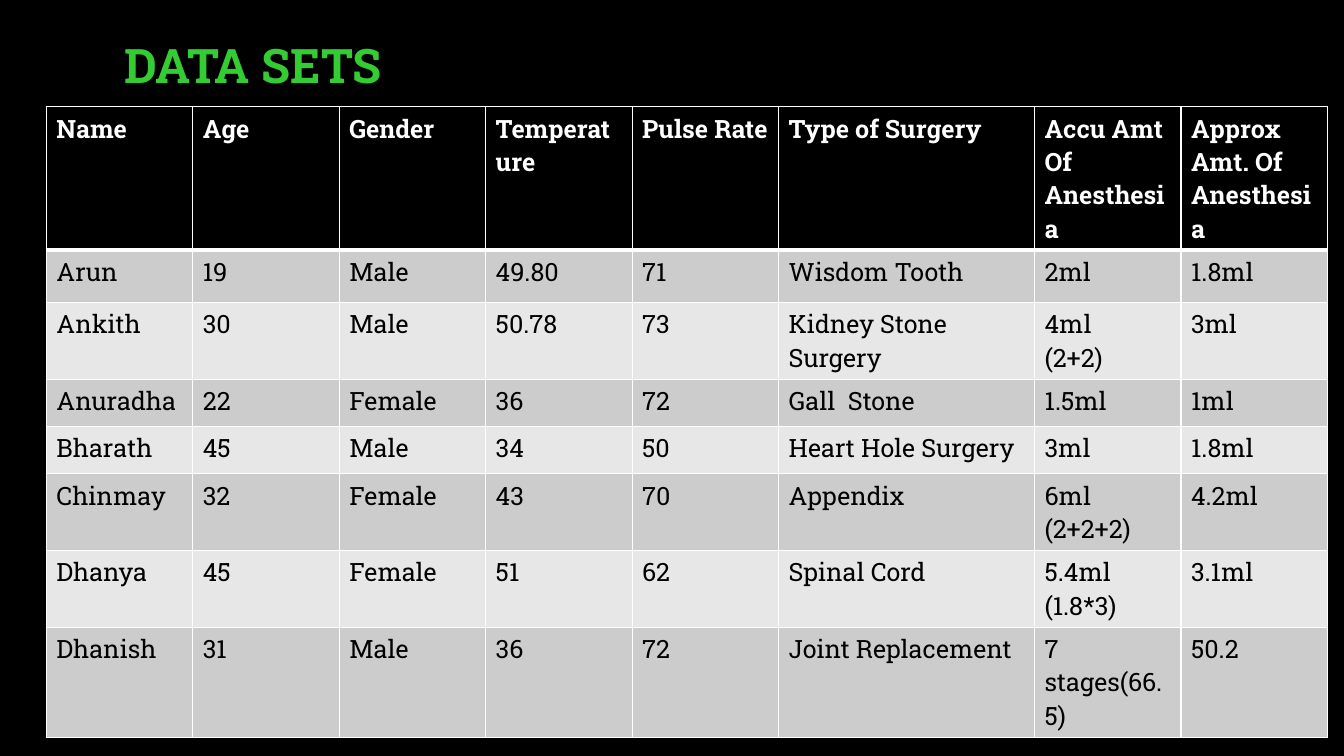
from lxml import etree
from pptx import Presentation
from pptx.dml.color import RGBColor
from pptx.enum import text
from pptx.oxml import ns
from pptx.util import Pt

TITLE = "DATA SETS"
HEADINGS = ("Name", "Age", "Gender", "Temperature", "Pulse Rate", "Type of Surgery",
            "Accu Amt Of Anesthesia", "Approx Amt. Of Anesthesia")
PATIENTS = [
    ("Arun", "19", "Male", "49.80", "71", "Wisdom Tooth", "2ml", "1.8ml"),
    ("Ankith", "30", "Male", "50.78", "73", "Kidney Stone Surgery", "4ml\n(2+2)", "3ml"),
    ("Anuradha", "22", "Female", "36", "72", "Gall  Stone", "1.5ml", "1ml"),
    ("Bharath", "45", "Male", "34", "50", "Heart Hole Surgery", "3ml", "1.8ml"),
    ("Chinmay", "32", "Female", "43", "70", "Appendix", "6ml (2+2+2)", "4.2ml"),
    ("Dhanya", "45", "Female", "51", "62", "Spinal Cord", "5.4ml\n(1.8*3)", "3.1ml"),
    ("Dhanish", "31", "Male", "36", "72", "Joint Replacement", "7 stages(66.5)", "50.2"),
]
COLOURS = {"black": "000000", "white": "FFFFFF", "green": "33CC33",
           "dark band": "CCCCCC", "light band": "E7E7E7"}
FONT = "Roboto Slab"
NARROW, SURGERY_WIDTH = 104.6, 182.9
ROW_HEIGHTS = (93.6, 37.4, 54.7, 33.8, 33.8, 48.2, 48.2, 69.1)


def colour(name):
    return RGBColor.from_string(COLOURS[name])


def style_font(font, size, name, bold):
    font.name, font.size, font.bold = FONT, Pt(size), bold
    font.color.rgb = colour(name)


def add_borders(cell, top, bottom):
    """Draw white cell edges; top and bottom are widths in points."""
    properties = cell._tc.get_or_add_tcPr()
    for edge, width in (("L", 1), ("R", 1), ("T", top), ("B", bottom)):
        line = etree.SubElement(properties, ns.qn(f"a:ln{edge}"), w=str(Pt(width)))
        fill = etree.SubElement(line, ns.qn("a:solidFill"))
        etree.SubElement(fill, ns.qn("a:srgbClr"), val=COLOURS["white"])


def add_title(slide):
    title = slide.shapes.title
    title.left, title.top, title.width, title.height = Pt(11.5), Pt(14.4), Pt(338.4), Pt(69.1)
    title.text_frame.text = TITLE
    title.text_frame.vertical_anchor = text.MSO_ANCHOR.MIDDLE
    heading = title.text_frame.paragraphs[0]
    heading.alignment = text.PP_ALIGN.CENTER
    heading.line_spacing = 0.9
    style_font(heading.font, 34, "green", True)


def add_patient_table(slide):
    rows = [HEADINGS, *PATIENTS]
    widths = [SURGERY_WIDTH if h == "Type of Surgery" else NARROW for h in HEADINGS]
    table = slide.shapes.add_table(len(rows), len(widths), Pt(33.1), Pt(76.3),
                                   Pt(sum(widths)), Pt(sum(ROW_HEIGHTS))).table
    for column, width in zip(table.columns, widths):
        column.width = Pt(width)
    for r, values in enumerate(rows):
        table.rows[r].height = Pt(ROW_HEIGHTS[r])
        header = r == 0
        band = "black" if header else "dark band" if r % 2 else "light band"
        for c, value in enumerate(values):
            cell = table.cell(r, c)
            cell.text = value
            add_borders(cell, top=3 if r == 1 else 1, bottom=3 if header else 1)
            cell.fill.solid()
            cell.fill.fore_color.rgb = colour(band)
            for paragraph in cell.text_frame.paragraphs:
                style_font(paragraph.font, 18, "white" if header else "black", header)


def main():
    deck = Presentation()
    deck.slide_width, deck.slide_height = Pt(960), Pt(540)
    slide = deck.slides.add_slide(deck.slide_layouts.get_by_name("Title Only"))
    slide.background.fill.solid()
    slide.background.fill.fore_color.rgb = colour("black")
    add_title(slide)
    add_patient_table(slide)
    deck.save("out.pptx")


if __name__ == "__main__":
    main()
